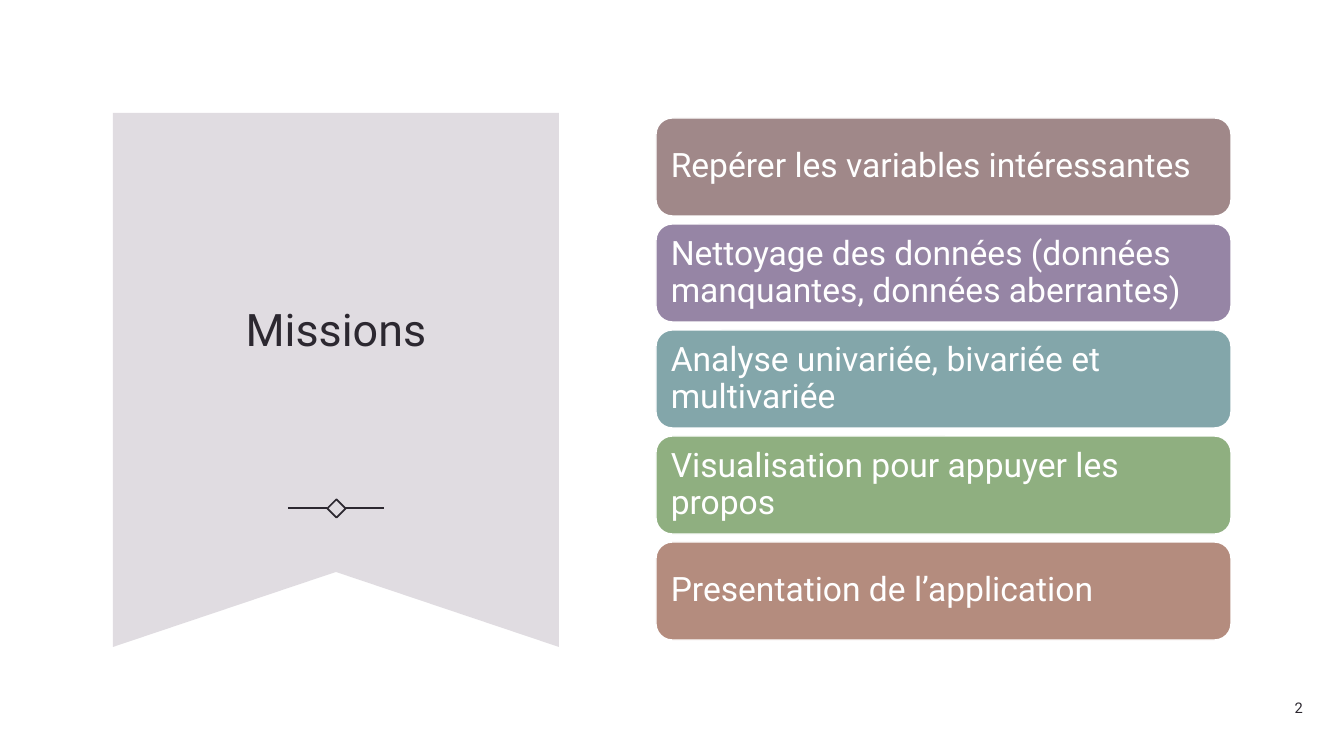
from lxml import etree
from pptx import Presentation
from pptx.dml.color import RGBColor
from pptx.enum.shapes import MSO_CONNECTOR, MSO_SHAPE
from pptx.enum.text import MSO_ANCHOR, MSO_AUTO_SIZE, PP_ALIGN
from pptx.oxml.ns import qn
from pptx.util import Emu, Pt

WHITE = RGBColor(0xFF, 0xFF, 0xFF)
INK = RGBColor(0x2C, 0x28, 0x30)
LILAC = RGBColor(0xE0, 0xDC, 0xE1)
MAUVE = RGBColor(0xA0, 0x88, 0x89)
PURPLE = RGBColor(0x96, 0x85, 0xA5)
TEAL = RGBColor(0x83, 0xA6, 0xAA)
GREEN = RGBColor(0x8F, 0xAF, 0x80)
CLAY = RGBColor(0xB4, 0x8C, 0x7E)

RECTANGLE = MSO_SHAPE.RECTANGLE
ROUNDED = MSO_SHAPE.ROUNDED_RECTANGLE
STRAIGHT = MSO_CONNECTOR.STRAIGHT
MIDDLE = MSO_ANCHOR.MIDDLE
NO_AUTOFIT = MSO_AUTO_SIZE.NONE
LEFT, CENTER, RIGHT = PP_ALIGN.LEFT, PP_ALIGN.CENTER, PP_ALIGN.RIGHT

TITLE_ONLY = 5
PX_PER_INCH = 100.8
MISSIONS = [
    ("Repérer les variables intéressantes", MAUVE),
    ("Nettoyage des données (données manquantes, données aberrantes)", PURPLE),
    ("Analyse univariée, bivariée et multivariée", TEAL),
    ("Visualisation pour appuyer les propos", GREEN),
    ("Presentation de l’application", CLAY),
]


def px(length):
    return Emu(round(length * 914400 / PX_PER_INCH))


def set_all(target, values):
    for name, value in values.items():
        setattr(target, name, value)


class MissionPage:
    font_name = "Roboto"
    line_width = Pt(1.25)

    def __init__(self, deck):
        self.page = deck.slides.add_slide(deck.slide_layouts[TITLE_ONLY])
        self.shapes = self.page.shapes
        background = self.page.background.fill
        background.solid()
        background.fore_color.rgb = WHITE

    def label(self, box, text, size, color, align, spacing=1.0, inset=10):
        frame = box.text_frame
        margins = dict.fromkeys(
            ("margin_left", "margin_top", "margin_right", "margin_bottom"), px(inset))
        set_all(frame, {"word_wrap": True, "auto_size": NO_AUTOFIT,
                        "vertical_anchor": MIDDLE, **margins})
        para = frame.paragraphs[0]
        set_all(para, {"alignment": align, "line_spacing": spacing})
        span = para.add_run()
        span.text = text
        set_all(span.font, {"name": self.font_name, "size": Pt(size), "bold": False})
        span.font.color.rgb = color

    def title(self, text, left, top, width, height):
        box = self.shapes.title
        set_all(box, {"left": px(left), "top": px(top),
                      "width": px(width), "height": px(height)})
        self.label(box, text, 32, INK, CENTER, 1.1)

    def banner(self, left, top, right, bottom, notch):
        builder = self.shapes.build_freeform(px(left), px(top))
        corners = [(right, top), (right, bottom), ((left + right) / 2, notch), (left, bottom)]
        builder.add_line_segments([(px(x), px(y)) for x, y in corners], close=True)
        ribbon = builder.convert_to_shape()
        ribbon.shadow.inherit = False
        ribbon.fill.solid()
        ribbon.fill.fore_color.rgb = LILAC
        ribbon.line.fill.background()
        self.shapes.title.element.addprevious(ribbon.element)

    def rule(self, start, end, y):
        line = self.shapes.add_connector(STRAIGHT, px(start), px(y), px(end), px(y))
        line.line.color.rgb = INK
        line.line.width = self.line_width
        etree.SubElement(line.element.spPr, qn("a:effectLst"))

    def diamond(self, left, top, side):
        box = self.shapes.add_shape(RECTANGLE, px(left), px(top), px(side), px(side))
        box.shadow.inherit = False
        box.rotation = 45
        box.fill.background()
        box.line.color.rgb = INK
        box.line.width = self.line_width

    def card(self, text, color, left, top, width, height):
        box = self.shapes.add_shape(ROUNDED, px(left), px(top), px(width), px(height))
        box.shadow.inherit = False
        box.fill.solid()
        box.fill.fore_color.rgb = color
        box.line.color.rgb = WHITE
        box.line.width = Pt(1)
        self.label(box, text, 24, WHITE, LEFT, 0.9)

    def number(self, text, left, top, width, height):
        box = self.shapes.add_textbox(px(left), px(top), px(width), px(height))
        self.label(box, text, 10.5, INK, RIGHT)


def main():
    deck = Presentation()
    deck.slide_width, deck.slide_height = px(1344), px(756)
    page = MissionPage(deck)
    page.banner(113, 113, 559, 647, 572)
    page.title("Missions", 157, 182, 358, 287)
    page.diamond(330, 502, 13)
    for start, end in ((345, 384), (288, 327)):
        page.rule(start, end, 508)
    for index, (text, color) in enumerate(MISSIONS):
        page.card(text, color, 656, 118 + 106 * index, 575, 98)
    page.number("2", 1256, 688, 57, 40)
    deck.save("out.pptx")


if __name__ == "__main__":
    main()
